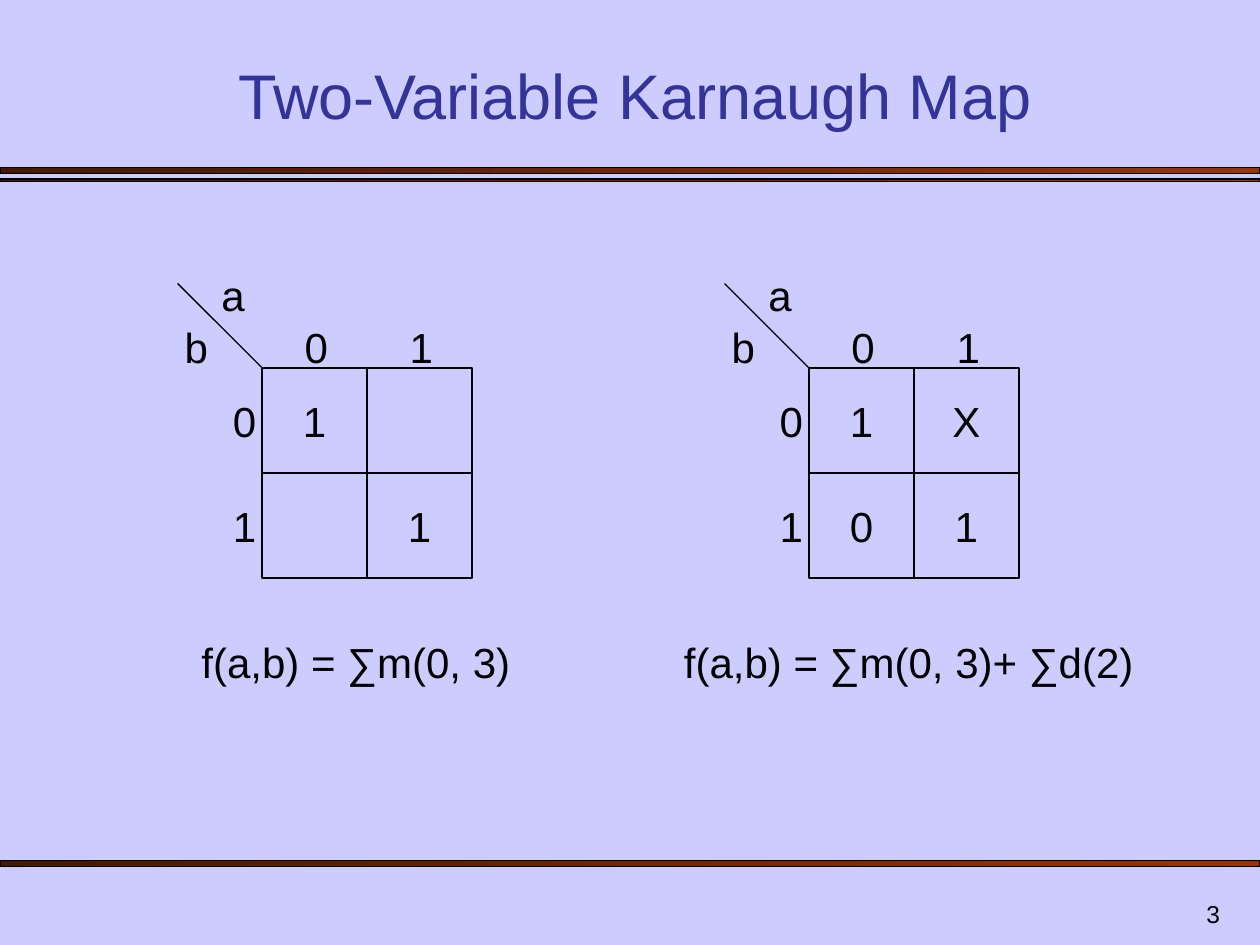
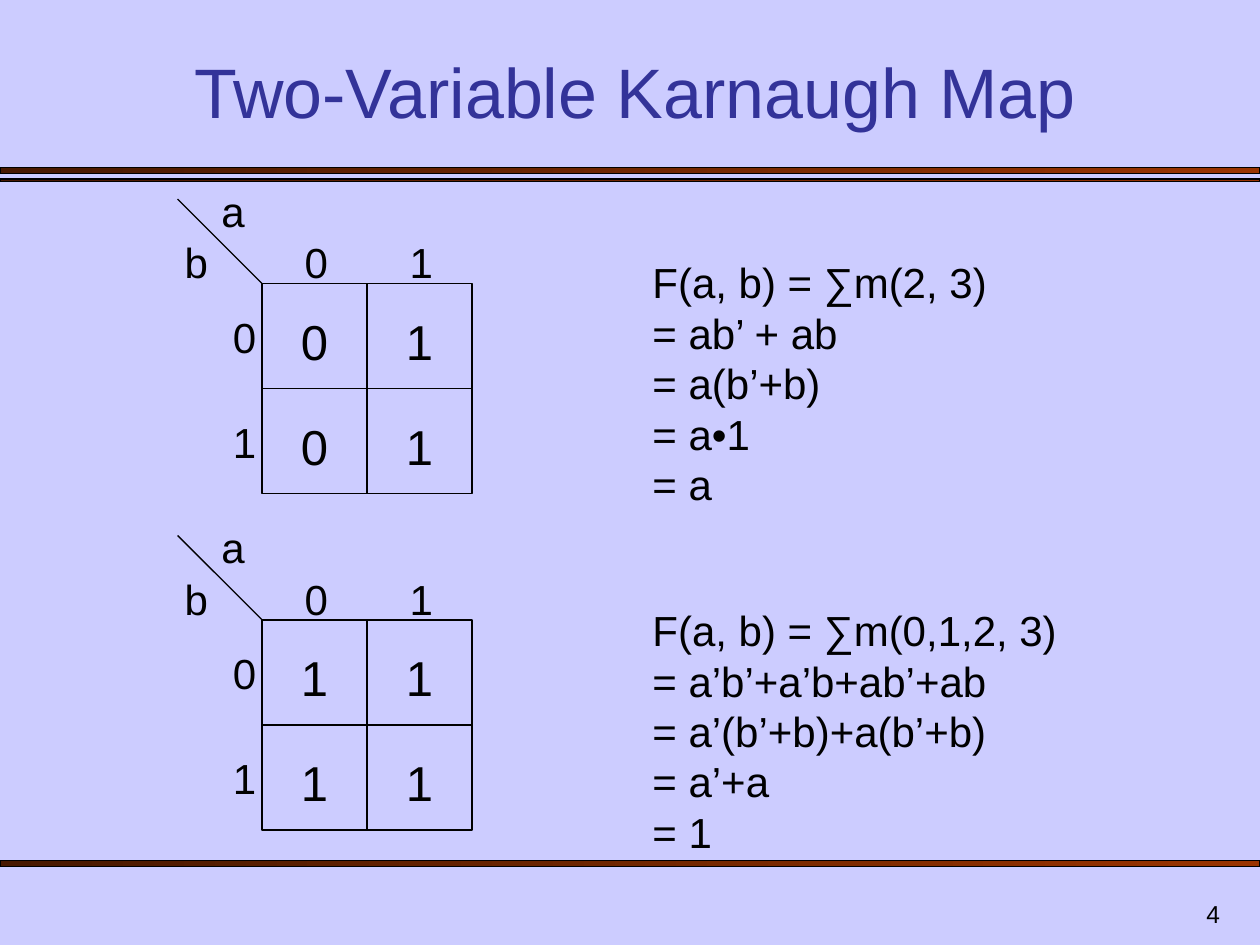
from lxml.etree import SubElement
from pptx import Presentation
from pptx.dml.color import RGBColor
from pptx.enum.shapes import MSO_CONNECTOR, MSO_SHAPE
from pptx.enum.text import MSO_ANCHOR, PP_ALIGN
from pptx.oxml.ns import qn
from pptx.util import Inches, Pt

FONT = "Arial"
BACKGROUND, TITLE_COLOR, BLACK = "CCCCFF", "333399", "000000"
BAND_START, BAND_END = "471800", "993300"
BANDS = [(1.33, 0.05), (1.42, 0.02), (6.83, 0.05)]  # top, height
TITLE = "Two-Variable Karnaugh Map"
CELL = 2.5 / 3
LINE_WIDTH = Pt(0.75)
TEXT_SIZE = 24
LINE_FACTOR = 1.2


def color(value):
    return RGBColor.from_string(value)


def set_text(shape, lines, size, align=PP_ALIGN.LEFT, text_color=BLACK, line_factor=None):
    frame = shape.text_frame
    frame.word_wrap = True
    for index, line in enumerate(lines):
        paragraph = frame.paragraphs[0] if index == 0 else frame.add_paragraph()
        paragraph.text = line
        paragraph.alignment = align
        if line_factor:
            paragraph.line_spacing = Pt(size * line_factor)
        paragraph.font.name = FONT
        paragraph.font.size = Pt(size)
        paragraph.font.color.rgb = color(text_color)


def add_text(shapes, box, lines, size=TEXT_SIZE, align=PP_ALIGN.LEFT,
             text_color=BLACK, anchor=MSO_ANCHOR.TOP, line_factor=LINE_FACTOR):
    shape = shapes.add_textbox(*map(Inches, box))
    shape.text_frame.vertical_anchor = anchor
    set_text(shape, lines, size, align, text_color, line_factor)


def add_rectangle(shapes, box):
    """Add a black-outlined rectangle without a shadow."""
    shape = shapes.add_shape(MSO_SHAPE.RECTANGLE, *map(Inches, box))
    shape.shadow.inherit = False
    shape.line.color.rgb = color(BLACK)
    shape.line.width = LINE_WIDTH
    return shape


def add_bands(slide):
    for top, height in BANDS:
        fill = add_rectangle(slide.shapes, (0, top, 10, height)).fill
        fill.gradient()
        fill.gradient_angle = 0
        for stop, stop_color in zip(fill.gradient_stops, (BAND_START, BAND_END)):
            stop.color.rgb = color(stop_color)


def add_base_slide(presentation, number, title_size):
    """Add a blank slide with the bands, title and slide number."""
    slide = presentation.slides.add_slide(presentation.slide_layouts[6])
    add_bands(slide)
    add_text(slide.shapes, (7.7, 7, 2.08, 0.42), [str(number)], 14, PP_ALIGN.RIGHT,
             anchor=MSO_ANCHOR.BOTTOM, line_factor=None)
    add_text(slide.shapes, (0.58, 0.42, 8.92, 0.68), [TITLE], title_size, PP_ALIGN.CENTER,
             TITLE_COLOR, MSO_ANCHOR.BOTTOM, line_factor=None)
    return slide


def add_cell(shapes, left, top, value, size):
    cell = add_rectangle(shapes, (left, top, CELL, CELL))
    cell.fill.background()
    if value:
        cell.text_frame.vertical_anchor = MSO_ANCHOR.TOP
        cell.text_frame.margin_top = Inches(0.22)
        set_text(cell, [value], size, PP_ALIGN.CENTER, line_factor=LINE_FACTOR)


def add_karnaugh_map(slide, left, top, rows, size=TEXT_SIZE):
    """Draw a map whose grid of cells starts at left, top."""
    shapes = slide.shapes.add_group_shape().shapes
    add_text(shapes, (left - 0.42, top - 0.83, 0.5, 0.5), ["a"])
    add_text(shapes, (left - 0.83, top - 0.42, 0.5, 0.5), ["b"], align=PP_ALIGN.RIGHT)
    for index in range(2):
        offset = index * CELL
        add_text(shapes, (left + 0.24 + offset, top - 0.42, 0.43, 0.5), [str(index)])
        add_text(shapes, (left - 0.33, top + 0.17 + offset, 0.43, 0.5), [str(index)])
    for row, values in enumerate(rows):
        for column, value in enumerate(values):
            add_cell(shapes, left + column * CELL, top + row * CELL, value, size)
    diagonal = shapes.add_connector(
        MSO_CONNECTOR.STRAIGHT,
        *map(Inches, (left - 0.67, top - 0.67, left, top)))
    diagonal.line.color.rgb = color(BLACK)
    diagonal.line.width = LINE_WIDTH
    SubElement(diagonal._element.spPr, qn("a:effectLst"))


def build_minterm_slide(presentation):
    slide = add_base_slide(presentation, 3, 36)
    add_karnaugh_map(slide, 2.08, 2.92, [["1", ""], ["", "1"]])
    add_karnaugh_map(slide, 6.42, 2.92, [["1", "X"], ["0", "1"]])
    add_text(slide.shapes, (1.5, 5, 2.92, 0.5), ["f(a,b) = ∑m(0, 3)"])
    add_text(slide.shapes, (5.33, 5, 3.83, 0.5), ["f(a,b) = ∑m(0, 3)+ ∑d(2)"])


def build_simplification_slide(presentation):
    slide = add_base_slide(presentation, 4, 40)
    add_karnaugh_map(slide, 2.08, 2.25, [["0", "1"], ["0", "1"]], 28)
    add_karnaugh_map(slide, 2.08, 4.92, [["1", "1"], ["1", "1"]], 28)
    add_text(slide.shapes, (5.08, 1.99, 3.17, 2.1), [
        "F(a, b) = ∑m(2, 3)", "= ab’ + ab", "= a(b’+b)", "= a•1", "= a"])
    add_text(slide.shapes, (5.08, 4.75, 3.83, 2.1), [
        "F(a, b) = ∑m(0,1,2, 3)", "= a’b’+a’b+ab’+ab", "= a’(b’+b)+a(b’+b)",
        "= a’+a", "= 1"])


def main():
    presentation = Presentation()
    presentation.slide_width = Inches(10)
    presentation.slide_height = Inches(7.5)
    background = presentation.slide_master.background.fill
    background.solid()
    background.fore_color.rgb = color(BACKGROUND)
    build_minterm_slide(presentation)
    build_simplification_slide(presentation)
    presentation.save("out.pptx")


if __name__ == "__main__":
    main()
